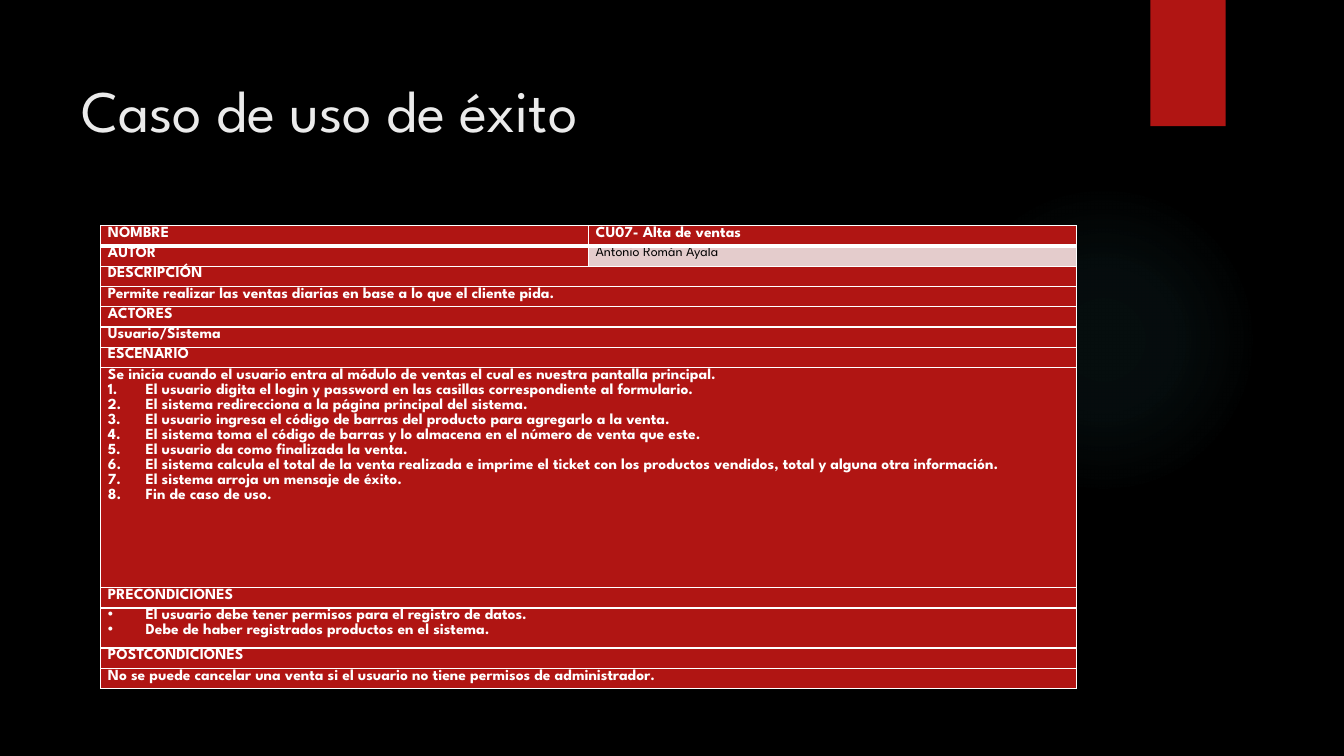
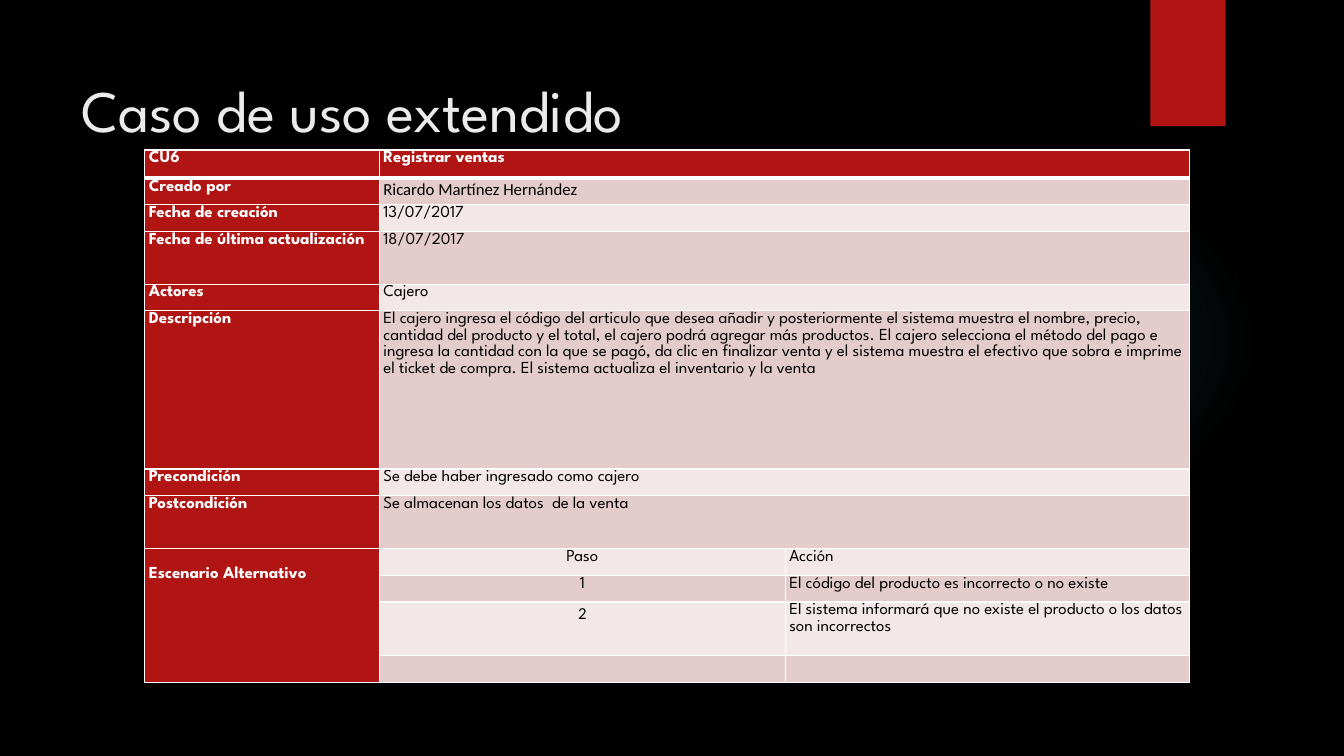
from dataclasses import dataclass

from pptx import Presentation
from pptx.dml.color import RGBColor
from pptx.enum.shapes import MSO_SHAPE
from pptx.enum.text import PP_ALIGN
from pptx.oxml import parse_xml
from pptx.oxml.ns import nsdecls
from pptx.util import Cm, Pt


@dataclass(frozen=True)
class Theme:
    font: str = "League Spartan"
    alt_font: str = "Calibri"
    back: str = "000000"
    title: str = "EBEBEB"
    red: str = "B01513"
    glow: str = "50B9C1"
    bands: tuple = ("F2E8E7", "E4CCCC")
    on_red: str = "FFFFFF"
    on_band: str = "000000"
    border: str = "FFFFFF"
    title_size: int = 42
    line_spacing: float = 1.07


T = Theme()
rgb = RGBColor.from_string


def style_cell(cell, r, c, size, font, margin):
    """Border, fill and text: red for header row and label column, else banded."""
    red = r == 0 or c == 0
    tcPr = cell._tc.get_or_add_tcPr()
    for side in "LRTB":
        thick = (r, side) in ((0, "B"), (1, "T"))
        tcPr.append(parse_xml(
            f'<a:ln{side} {nsdecls("a")} w="{Pt(3 if thick else 1)}"><a:solidFill>'
            f'<a:srgbClr val="{T.border}"/></a:solidFill></a:ln{side}>'))
    cell.fill.solid()
    cell.fill.fore_color.rgb = rgb(T.red if red else T.bands[r % 2])
    cell.margin_left = cell.margin_right = Cm(margin)
    cell.margin_top = cell.margin_bottom = 0
    for p in cell.text_frame.paragraphs:
        p.line_spacing = T.line_spacing
        for run in p.runs:
            run.font.name, run.font.size, run.font.bold = font, Pt(size), red
            run.font.color.rgb = rgb(T.on_red if red else T.on_band)
        if not p.runs:
            p._p.append(parse_xml(f'<a:endParaRPr {nsdecls("a")} sz="{size * 100}"/>'))


def add_bullet(p, tag):
    pPr = p._p.get_or_add_pPr()
    pPr.set("marL", str(Cm(0.95)))
    pPr.set("indent", str(-Cm(0.95)))
    pPr.append(parse_xml(tag.replace("/>", f' {nsdecls("a")}/>')))


# Content: a row is (height, texts); a short row stretches its last cell
success = dict(
    title="Caso de uso de éxito", at=(2.54, 5.69), cols=(12.29, 12.29),
    size=11, margin=0.18, sizes={(1, 1): 10}, fonts={}, centred=[], merge=None,
    bullets={7: (1, '<a:buAutoNum type="arabicPeriod"/>'), 9: (0, '<a:buChar char="•"/>')},
    rows=[
        (0.51, ["NOMBRE", "CU07- Alta de ventas"]),
        (0.51, ["AUTOR", "Antonio Román Ayala"]),
        (0.51, ["DESCRIPCIÓN"]),
        (0.51, ["Permite realizar las ventas diarias en base a lo que el cliente pida."]),
        (0.51, ["ACTORES"]),
        (0.51, ["Usuario/Sistema"]),
        (0.51, ["ESCENARIO"]),
        (5.55, ["\n".join([
            "Se inicia cuando el usuario entra al módulo de ventas el cual es nuestra pantalla principal.",
            "El usuario digita el login y password en las casillas correspondiente al formulario.",
            "El sistema redirecciona a la página principal del sistema.",
            "El usuario ingresa el código de barras del producto para agregarlo a la venta.",
            "El sistema toma el código de barras y lo almacena en el número de venta que este.",
            "El usuario da como finalizada la venta.",
            "El sistema calcula el total de la venta realizada e imprime el ticket con los productos "
            "vendidos, total y alguna otra información.",
            "El sistema arroja un mensaje de éxito.",
            "Fin de caso de uso."])]),
        (0.51, ["PRECONDICIONES"]),
        (1.01, ["El usuario debe tener permisos para el registro de datos.\n"
                "Debe de haber registrados productos en el sistema."]),
        (0.51, ["POSTCONDICIONES"]),
        (0.51, ["No se puede cancelar una venta si el usuario no tiene permisos de administrador."]),
    ])

extended = dict(
    title="Caso de uso extendido", at=(3.65, 3.78), cols=(5.91, 10.23, 10.18),
    size=12, margin=0.1, sizes={}, fonts={(1, 1): T.alt_font, (10, 1): T.alt_font},
    centred=[(8, 1), (9, 1), (10, 1)], merge=((8, 0), (11, 0)), bullets={},
    rows=[
        (0.71, ["CU6", "Registrar ventas"]),
        (0.67, ["Creado por", "Ricardo Martínez Hernández"]),
        (0.67, ["Fecha de creación", "13/07/2017"]),
        (1.33, ["Fecha de última actualización", "18/07/2017"]),
        (0.67, ["Actores", "Cajero"]),
        (3.99, ["Descripción",
                "El cajero ingresa el código del articulo que desea añadir y posteriormente el sistema "
                "muestra el nombre, precio, cantidad del producto y el total, el cajero podrá agregar más "
                "productos. El cajero selecciona el método del pago e ingresa la cantidad con la que se "
                "pagó, da clic en finalizar venta y el sistema muestra el efectivo que sobra e imprime el "
                "ticket de compra. El sistema actualiza el inventario y la venta"]),
        (0.67, ["Precondición", "Se debe haber ingresado como cajero"]),
        (1.34, ["Postcondición", "Se almacenan los datos  de la venta"]),
        (0.67, ["Escenario Alternativo", "Paso", "Acción"]),
        (0.67, ["", "1", "El código del producto es incorrecto o no existe"]),
        (1.35, ["", "2", "El sistema informará que no existe el producto o los datos son incorrectos"]),
        (0.67, ["", "", ""]),
    ])

prs = Presentation()
prs.slide_width, prs.slide_height = Cm(33.87), Cm(19.05)
prs.slide_master.background.fill.solid()
prs.slide_master.background.fill.fore_color.rgb = rgb(T.back)
layout = prs.slide_layouts[6]
for ph in list(layout.placeholders):
    ph.element.getparent().remove(ph.element)

for n, case in enumerate((success, extended)):
    s = prs.slides.add_slide(layout)

    # Shared decoration: drawn once, then moved to the layout
    if n == 0:
        glow = s.shapes.add_shape(MSO_SHAPE.OVAL, Cm(23.9), Cm(4.65), Cm(7.82), Cm(7.82))
        tab = s.shapes.add_shape(MSO_SHAPE.RECTANGLE, Cm(28.99), 0, Cm(1.9), Cm(3.18))
        tab.fill.solid()
        tab.fill.fore_color.rgb = rgb(T.red)
        glow.fill.background()
        stops = "".join(
            f'<a:gs pos="{pos}000"><a:srgbClr val="{T.glow}"><a:alpha val="{alpha}000"/></a:srgbClr></a:gs>'
            for pos, alpha in ((0, 7), (36, 6), (69, 0)))
        spPr = glow.element.spPr
        spPr.replace(spPr.find("{*}noFill"), parse_xml(
            f'<a:gradFill {nsdecls("a")}><a:gsLst>{stops}</a:gsLst><a:path path="circle">'
            '<a:fillToRect l="50000" t="50000" r="50000" b="50000"/></a:path></a:gradFill>'))
        for sp in (glow, tab):
            sp.shadow.inherit = False
            sp.line.fill.background()
            layout.shapes.element.append(sp.element)

    # Title
    tf = s.shapes.add_textbox(Cm(1.8), Cm(1.27), Cm(26.14), Cm(3.89)).text_frame
    tf.word_wrap = True
    tf.margin_top = Cm(0.58)
    tf.text = case["title"]
    font = tf.paragraphs[0].runs[0].font
    font.name, font.size, font.color.rgb = T.font, Pt(T.title_size), rgb(T.title)

    # Table
    rows, cols = case["rows"], case["cols"]
    left, top = case["at"]
    tbl = s.shapes.add_table(len(rows), len(cols), Cm(left), Cm(top), Cm(sum(cols)),
                             Cm(sum(h for h, _ in rows))).table
    tbl.first_row = tbl.horz_banding = False
    for col, width in zip(tbl.columns, cols):
        col.width = Cm(width)
    for r, (height, texts) in enumerate(rows):
        tbl.rows[r].height = Cm(height)
        for c in range(len(cols)):
            cell = tbl.cell(r, c)
            if c < len(texts):
                cell.text_frame.text = texts[c]
            style_cell(cell, r, min(c, len(texts) - 1), case["sizes"].get((r, c), case["size"]),
                       case["fonts"].get((r, c), T.font), case["margin"])
        if len(texts) < len(cols):
            tbl.cell(r, len(texts) - 1).merge(tbl.cell(r, len(cols) - 1))

    # Lists, centred cells and the tall label
    for r, (first, tag) in case["bullets"].items():
        for p in tbl.cell(r, 0).text_frame.paragraphs[first:]:
            add_bullet(p, tag)
    for r, c in case["centred"]:
        tbl.cell(r, c).text_frame.paragraphs[0].alignment = PP_ALIGN.CENTER
    if case["merge"]:
        start, end = case["merge"]
        tbl.cell(*start).merge(tbl.cell(*end))
        tbl.cell(*start).margin_top = Cm(0.42)

prs.save("out.pptx")
